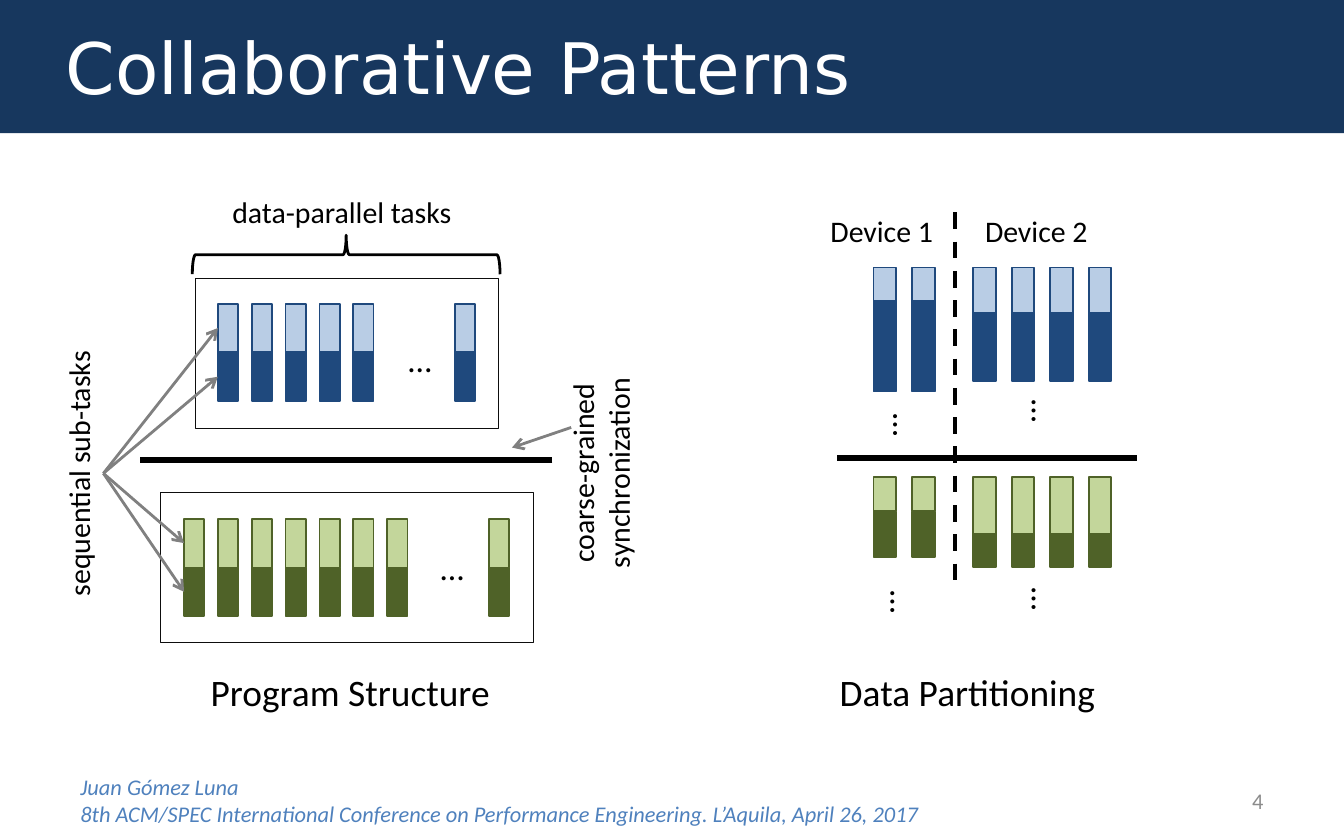
from lxml.etree import SubElement
from pptx import Presentation
from pptx.dml.color import RGBColor
from pptx.enum.dml import MSO_LINE
from pptx.enum.shapes import MSO_CONNECTOR, MSO_SHAPE
from pptx.enum.text import MSO_ANCHOR, PP_ALIGN
from pptx.oxml.ns import qn
from pptx.util import Pt

THEME = {
    "font": "Calibri", "title_font": "DejaVu Sans",
    "title": 38, "caption": 20, "dots": 18, "label": 16, "footer": 12,
    "banner": "17375E", "white": "FFFFFF", "black": "000000", "frame": "0D0D0D",
    "arrow": "808080", "credit": "4F81BD", "number": "8C8C8C",
    "blue": ("B9CDE5", "1F497D"), "green": ("C3D69B", "4F6228"),
}

# Content: text, (left, top, width, height), size, rotation, alignment
TITLE = "Collaborative Patterns"
LABELS = [
    ("data-parallel tasks", (117.4, 100.1, 134.6, 26.6), "label", 0, PP_ALIGN.LEFT),
    ("sequential sub-tasks", (-31.7, 240.5, 147.6, 26.6), "label", 270, PP_ALIGN.CENTER),
    ("coarse-grained synchronization", (223.9, 230.4, 195.8, 46.1), "label", 270, PP_ALIGN.CENTER),
    ("Device 1", (437.8, 110.2, 70.6, 26.6), "label", 0, PP_ALIGN.LEFT),
    ("Device 2", (520.6, 110.2, 70.6, 26.6), "label", 0, PP_ALIGN.LEFT),
    ("Program Structure", (105.8, 355, 166.3, 31.7), "caption", 0, PP_ALIGN.LEFT),
    ("Data Partitioning", (442.8, 355, 153.4, 31.7), "caption", 0, PP_ALIGN.LEFT),
]
FOOTERS = [
    (["4"], (516.2, 416.9, 167.8, 23.8), "number", False, PP_ALIGN.RIGHT),
    (["Juan Gómez Luna",
      "8th ACM/SPEC International Conference on Performance Engineering. "
      "L’Aquila, April 26, 2017"],
     (36, 416.9, 527.8, 23.8), "credit", True, PP_ALIGN.LEFT),
]
DOTS_ACROSS = [(211.7, 177.8), (229, 289.4)]
DOTS_DOWN = [(475.2, 214.6), (549.4, 207.4), (473.8, 309.6), (549.4, 308.2)]

# Program structure: colour, top, occupied slots, frame
FIRST_SLOT, SLOT_PITCH, TASK_WIDTH, SUBTASK = 98.6, 18.13, 10.9, 26.1
TASK_GROUPS = [
    ("blue", 162.7, [1, 2, 3, 4, 5, 8], (104.4, 149, 162.7, 80.6)),
    ("green", 277.9, [0, 1, 2, 3, 4, 5, 6, 9], (85.7, 263.5, 200.2, 80.6)),
]
# Data partitioning: colour, top, first left, count, light and dark heights
DEVICE_PITCH, DEVICE_WIDTH = 20.65, 12.2
DEVICE_GROUPS = [
    ("blue", 143.3, 521.3, 4, (24.4, 36.6)),
    ("blue", 143.3, 468, 2, (18.1, 48.4)),
    ("green", 255.6, 468, 2, (18.4, 24.4)),
    ("green", 255.6, 521.3, 4, (30.3, 18)),
]
BRACE = (175, 54, 20.9, 164.9)
BARRIERS = [((295.9, 246.4), (74.9, 246.4)), ((609.1, 245.5), (448.6, 245.5))]
DEVICE_DIVIDER = ((511.7, 113.8), (511.7, 311.8))
SUBTASK_HUB = (55.4, 253.6)
SYNC_ARROW = ((274.3, 239.8), (306, 229))


def color(value):
    return RGBColor.from_string(value)


def add_run(paragraph, text, size, fill="black", font="font", italic=False):
    run = paragraph.add_run()
    run.text = text
    run.font.name = THEME[font]
    run.font.size = Pt(THEME[size])
    run.font.italic = italic
    run.font.color.rgb = color(THEME[fill])


def add_text(slide, lines, box, size, rotation=0, align=PP_ALIGN.LEFT,
             fill="black", italic=False, anchor=MSO_ANCHOR.TOP):
    shape = slide.shapes.add_textbox(*map(Pt, box))
    shape.rotation = rotation
    frame = shape.text_frame
    frame.word_wrap = True
    frame.vertical_anchor = anchor
    for index, line in enumerate(lines):
        paragraph = frame.add_paragraph() if index else frame.paragraphs[0]
        paragraph.alignment = align
        add_run(paragraph, line, size, fill, italic=italic)


def add_outline(slide, kind, box, line, width, fill=None):
    shape = slide.shapes.add_shape(kind, *map(Pt, box))
    shape.shadow.inherit = False
    if fill:
        shape.fill.solid()
        shape.fill.fore_color.rgb = color(fill)
    else:
        shape.fill.background()
    shape.line.color.rgb = color(line)
    shape.line.width = Pt(width)
    return shape


def add_bar(slide, left, top, width, heights, colors):
    for height, fill in zip(heights, colors):
        add_outline(slide, MSO_SHAPE.RECTANGLE, (left, top, width, height), colors[1], 1, fill)
        top += height


def add_line(slide, start, end, width, fill="black", arrow=False):
    line = slide.shapes.add_connector(MSO_CONNECTOR.STRAIGHT, *map(Pt, start + end))
    line.line.color.rgb = color(THEME[fill])
    line.line.width = Pt(width)
    if arrow:
        SubElement(line.line._get_or_add_ln(), qn("a:headEnd"), type="arrow")
    SubElement(line._element.spPr, qn("a:effectLst"))
    return line


def add_title(slide):
    title = slide.shapes.title
    title.left, title.top, title.width, title.height = map(Pt, (0, 0, 720, 71.3))
    title.fill.solid()
    title.fill.fore_color.rgb = color(THEME["banner"])
    frame = title.text_frame
    frame.margin_left = Pt(35.3)
    frame.vertical_anchor = MSO_ANCHOR.MIDDLE
    frame.paragraphs[0].alignment = PP_ALIGN.LEFT
    add_run(frame.paragraphs[0], TITLE, "title", "white", "title_font")


def main():
    presentation = Presentation()
    presentation.slide_width, presentation.slide_height = Pt(720), Pt(450)
    slide = presentation.slides.add_slide(presentation.slide_layouts[5])

    # Title and footer
    add_title(slide)
    for lines, box, fill, italic, align in FOOTERS:
        add_text(slide, lines, box, "footer", 0, align, fill, italic, MSO_ANCHOR.MIDDLE)

    # Task groups, each with arrows to the sub-tasks of its first bar
    for name, top, slots, frame in TASK_GROUPS:
        lefts = [FIRST_SLOT + slot * SLOT_PITCH for slot in slots]
        for left in lefts:
            add_bar(slide, left, top, TASK_WIDTH, (SUBTASK, SUBTASK), THEME[name])
        add_outline(slide, MSO_SHAPE.RECTANGLE, frame, THEME["frame"], 0.25)
        for part in (0.5, 1.5):
            target = (lefts[0], top + part * SUBTASK)
            add_line(slide, target, SUBTASK_HUB, 1.5, "arrow", True)

    # Bars split between the devices
    for name, top, first, count, heights in DEVICE_GROUPS:
        for index in range(count):
            add_bar(slide, first + index * DEVICE_PITCH, top, DEVICE_WIDTH, heights, THEME[name])

    # Brace, barriers, divider and synchronization arrow
    brace = add_outline(slide, MSO_SHAPE.RIGHT_BRACE, BRACE, THEME["black"], 1.5)
    brace.rotation = 270
    for start, end in BARRIERS:
        add_line(slide, start, end, 3)
    add_line(slide, *DEVICE_DIVIDER, 2.25).line.dash_style = MSO_LINE.DASH
    add_line(slide, *SYNC_ARROW, 1.5, "arrow", True)

    # Labels and ellipses
    for text, box, size, rotation, align in LABELS:
        add_text(slide, [text], box, size, rotation, align)
    for left, top in DOTS_ACROSS:
        add_text(slide, ["…"], (left, top, 22.3, 21.6), "dots")
    for left, top in DOTS_DOWN:
        add_text(slide, ["…"], (left, top, 25.2, 24.5), "dots", 90)

    presentation.save("out.pptx")


if __name__ == "__main__":
    main()
